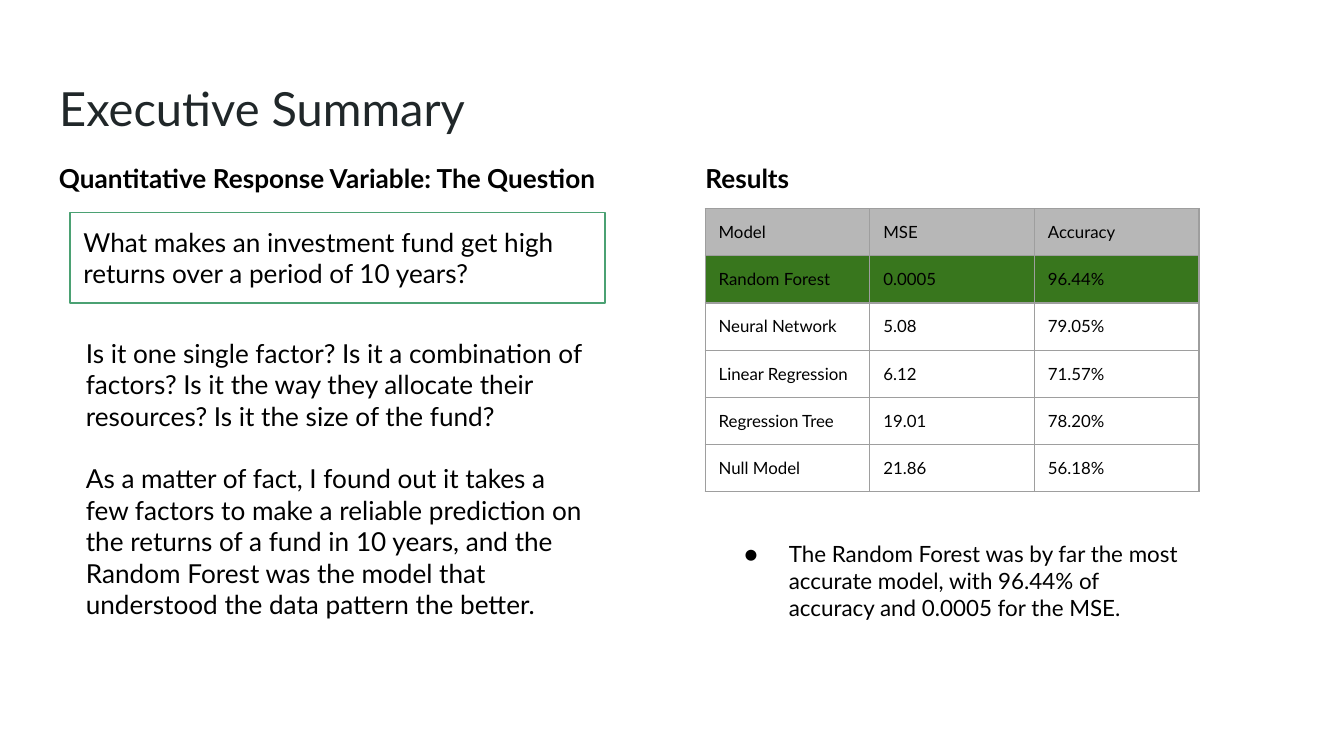
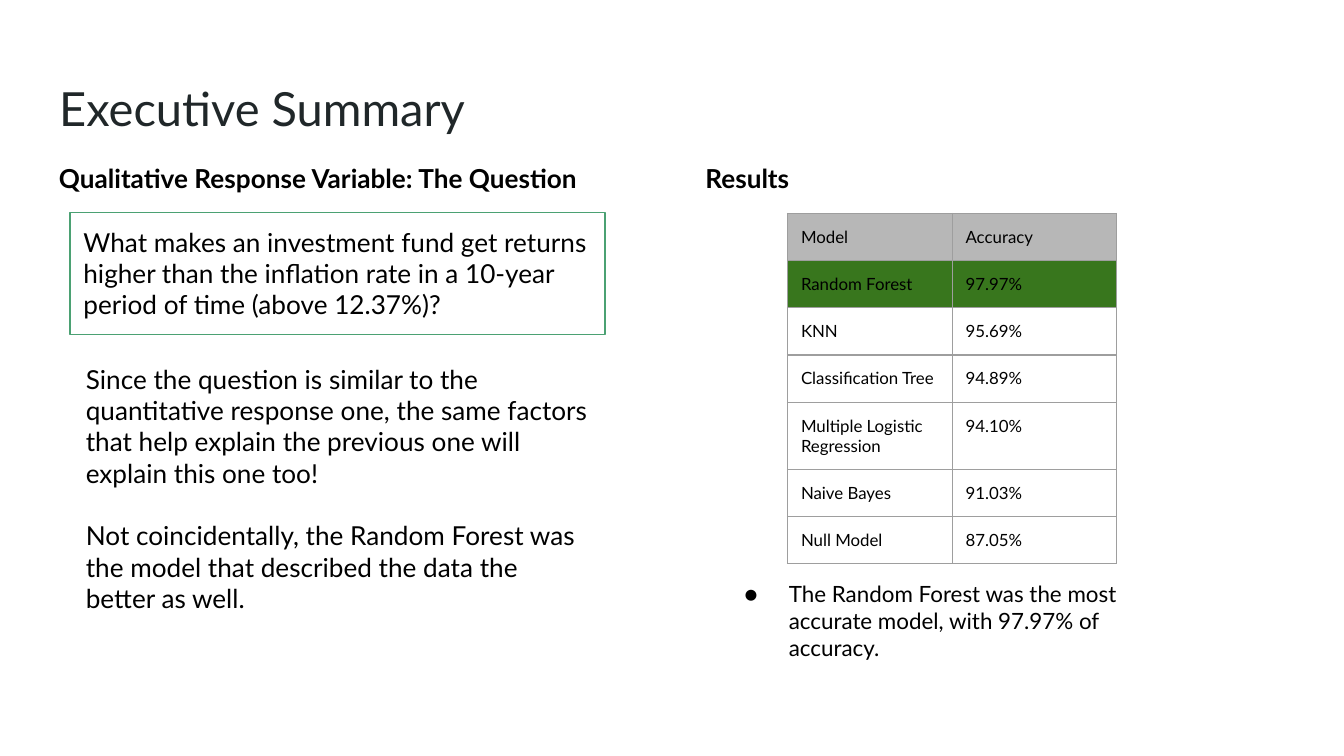
"""Build two executive summary slides, each with a question, comments and a table of model results."""
from lxml.etree import SubElement
from pptx import Presentation
from pptx.dml.color import RGBColor
from pptx.enum.shapes import MSO_SHAPE
from pptx.enum.text import MSO_ANCHOR, MSO_AUTO_SIZE, PP_ALIGN
from pptx.oxml.ns import qn
from pptx.util import Pt

FONT = "Lato"
BLACK, TITLE_COLOR, QUESTION_LINE = "000000", "202729", "4BA173"
HEADER_FILL, WINNER_FILL, GRID_LINE = "B7B7B7", "38761D", "9E9E9E"
INSET = Pt(7.2)
COLUMN_WIDTH, ROW_HEIGHT = 88.2, 25.2

SLIDES = [
    {
        "heading": "Quantitative Response Variable: The Question",
        "question": "What makes an investment fund get high returns over a period of 10 years?",
        "question_height": 48.5,
        "comments": [
            "Is it one single factor? Is it a combination of factors? Is it the way they "
            "allocate their resources? Is it the size of the fund?",
            "As a matter of fact, I found out it takes a few factors to make a reliable "
            "prediction on the returns of a fund in 10 years, and the Random Forest was "
            "the model that understood the data pattern the better.",
        ],
        "comments_top": 173.5,
        "comments_height": 167,
        "table_at": (377.8, 111.8),
        "rows": [
            ("Model", "MSE", "Accuracy"),
            ("Random Forest", "0.0005", "96.44%"),
            ("Neural Network", "5.08", "79.05%"),
            ("Linear Regression", "6.12", "71.57%"),
            ("Regression Tree", "19.01", "78.20%"),
            ("Null Model", "21.86", "56.18%"),
        ],
        "finding": "The Random Forest was by far the most accurate model, with 96.44% of "
                   "accuracy and 0.0005 for the MSE.",
        "finding_top": 282.2,
    },
    {
        "heading": "Qualitative Response Variable: The Question",
        "question": "What makes an investment fund get returns higher than the inflation rate "
                    "in a 10-year period of time (above 12.37%)?",
        "question_height": 65.5,
        "comments": [
            "Since the question is similar to the quantitative response one, the same factors "
            "that help explain the previous one will explain this one too!",
            "Not coincidentally, the Random Forest was the model that described the data the "
            "better as well.",
        ],
        "comments_top": 187.2,
        "comments_height": 150.5,
        "table_at": (421.9, 114.4),
        "rows": [
            ("Model", "Accuracy"),
            ("Random Forest", "97.97%"),
            ("KNN", "95.69%"),
            ("Classification Tree", "94.89%"),
            ("Multiple Logistic Regression", "94.10%"),
            ("Naive Bayes", "91.03%"),
            ("Null Model", "87.05%"),
        ],
        "finding": "The Random Forest was the most accurate model, with 97.97% of accuracy.",
        "finding_top": 303.8,
    },
]


def color(hex_text):
    """Turn a hex string into a colour."""
    return RGBColor.from_string(hex_text)


def write(frame, *texts, size=14, bold=False, ink=BLACK, gap=0):
    """Write one paragraph per text, with a gap in points between them."""
    frame.word_wrap = True
    for index, text in enumerate(texts):
        para = frame.add_paragraph() if index else frame.paragraphs[0]
        para.alignment = PP_ALIGN.LEFT
        para.space_before = Pt(gap if index else 0)
        span = para.add_run()
        span.text = text
        span.font.name = FONT
        span.font.size = Pt(size)
        span.font.bold = bold
        span.font.color.rgb = color(ink)


deck = Presentation()
deck.slide_width, deck.slide_height = Pt(720), Pt(405)

for content in SLIDES:
    page = deck.slides.add_slide(deck.slide_layouts[1])
    title, finding = page.placeholders
    title.left, title.top, title.width, title.height = Pt(24.5), Pt(35.3), Pt(671), Pt(45.4)
    write(title.text_frame, "Executive Summary", size=25.2, ink=TITLE_COLOR)

    heading = page.shapes.add_textbox(Pt(24.5), Pt(80), Pt(308), Pt(31.5))
    write(heading.text_frame, content["heading"], bold=True)

    results = page.shapes.add_textbox(Pt(370.8), Pt(80), Pt(308), Pt(31.5))
    write(results.text_frame, "Results", bold=True)

    question = page.shapes.add_shape(
        MSO_SHAPE.RECTANGLE, Pt(37.6), Pt(113.8), Pt(286.5), Pt(content["question_height"]))
    question.shadow.inherit = False
    question.fill.background()
    question.line.color.rgb = color(QUESTION_LINE)
    question.line.width = Pt(0.75)
    write(question.text_frame, content["question"])

    comments = page.shapes.add_textbox(
        Pt(38.9), Pt(content["comments_top"]), Pt(284.4), Pt(content["comments_height"]))
    write(comments.text_frame, *content["comments"], gap=16.8)

    finding.left, finding.top = Pt(379.4), Pt(content["finding_top"])
    finding.width, finding.height = Pt(261.4), Pt(58)
    write(finding.text_frame, content["finding"], size=12)
    bullet = finding.text_frame.paragraphs[0]._p.get_or_add_pPr()
    bullet.set("marL", str(Pt(36)))
    bullet.set("indent", str(-Pt(23.8)))
    bullet_color = SubElement(bullet, qn("a:buClr"))
    SubElement(bullet_color, qn("a:srgbClr"), val=BLACK)
    SubElement(bullet, qn("a:buFont"), typeface=FONT)
    SubElement(bullet, qn("a:buChar"), char="●")

    for box in (title, heading, results, question, comments, finding):
        frame = box.text_frame
        frame.margin_left = frame.margin_right = frame.margin_top = frame.margin_bottom = INSET
        frame.vertical_anchor = MSO_ANCHOR.TOP
        frame.auto_size = MSO_AUTO_SIZE.NONE if box is title else MSO_AUTO_SIZE.SHAPE_TO_FIT_TEXT

    rows = content["rows"]
    left, top = content["table_at"]
    table = page.shapes.add_table(
        len(rows), len(rows[0]), Pt(left), Pt(top),
        Pt(COLUMN_WIDTH * len(rows[0])), Pt(ROW_HEIGHT * len(rows))).table
    table.first_row = table.horz_banding = False
    for column in table.columns:
        column.width = Pt(COLUMN_WIDTH)
    for row_index, values in enumerate(rows):
        table.rows[row_index].height = Pt(36 if len(values[0]) > 20 else ROW_HEIGHT)
        for column_index, value in enumerate(values):
            cell = table.cell(row_index, column_index)
            cell.margin_left = cell.margin_right = cell.margin_top = cell.margin_bottom = INSET
            write(cell.text_frame, value, size=9)
            properties = cell._tc.get_or_add_tcPr()
            for side in ("lnL", "lnR", "lnT", "lnB"):
                border = SubElement(properties, qn(f"a:{side}"), w=str(Pt(0.75)))
                border_fill = SubElement(border, qn("a:solidFill"))
                SubElement(border_fill, qn("a:srgbClr"), val=GRID_LINE)
            if row_index < 2:
                cell.fill.solid()
                cell.fill.fore_color.rgb = color((HEADER_FILL, WINNER_FILL)[row_index])
            else:
                cell.fill.background()

deck.save("out.pptx")
